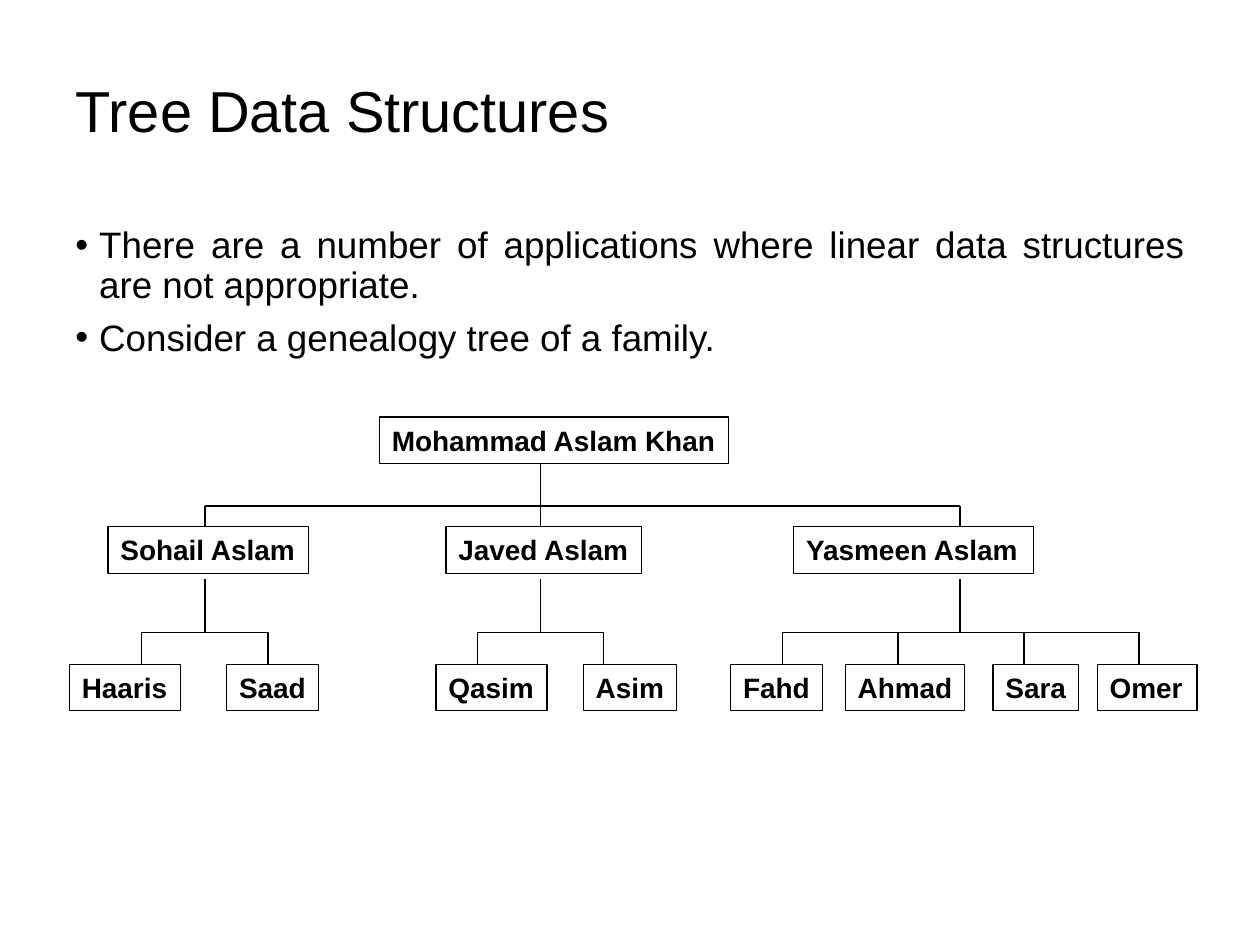
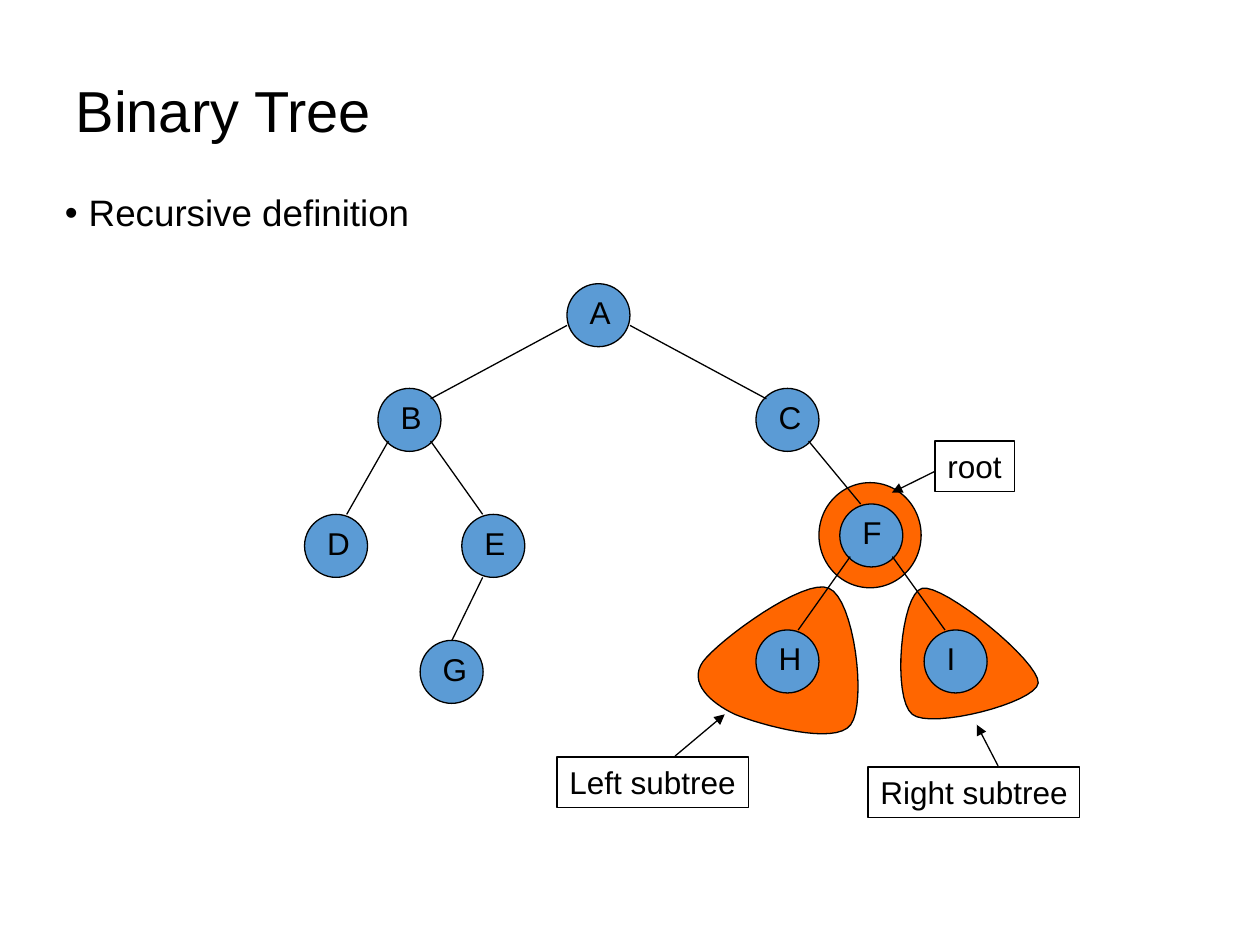
"""Build two slides on trees: a family tree and the recursive binary tree."""
from dataclasses import dataclass

from lxml.etree import SubElement
from pptx import Presentation
from pptx.dml.color import RGBColor
from pptx.enum.shapes import MSO_CONNECTOR, MSO_SHAPE
from pptx.enum.text import MSO_ANCHOR, MSO_AUTO_SIZE, PP_ALIGN
from pptx.oxml.ns import qn
from pptx.util import Cm, Pt


@dataclass(frozen=True)
class Theme:
    font: str = "Arial"
    ink: RGBColor = RGBColor(0, 0, 0)
    node: RGBColor = RGBColor(0x5B, 0x9B, 0xD5)
    region: RGBColor = RGBColor(0xFF, 0x66, 0x00)
    title: float = 33
    body: float = 21
    label: float = 18
    person: float = 16
    line: float = 0.75


THEME = Theme()
TITLE_BOX = (1.27, 1.02, 22.86, 2.54)

FAMILY_TITLE = "Tree Data Structures"
FAMILY_POINTS = [
    "There are a number of applications where linear data structures are not appropriate.",
    "Consider a genealogy tree of a family.",
]
FAMILY_BODY = (1.27, 4.45, 22.86, 4.88)
PERSON_HEIGHT = 0.94
# name, left, width, line position, children
FAMILY = ("Mohammad Aslam Khan", 7.65, 7.04, 10.9, [
    ("Sohail Aslam", 2.18, 4.04, 4.13, [
        ("Haaris", 1.4, 2.24, 2.85, []),
        ("Saad", 4.57, 1.85, 5.4, []),
    ]),
    ("Javed Aslam", 8.99, 3.94, 10.9, [
        ("Qasim", 8.79, 2.24, 9.63, []),
        ("Asim", 11.76, 1.88, 12.17, []),
    ]),
    ("Yasmeen Aslam", 16, 4.83, 19.35, [
        ("Fahd", 14.73, 1.85, 15.77, []),
        ("Ahmad", 17.04, 2.41, 18.1, []),
        ("Sara", 20.02, 1.73, 20.64, []),
        ("Omer", 22.12, 2.01, 22.96, []),
    ]),
])
GENERATION_TOPS = [8.41, 10.62, 13.39]
TRUNK_TOPS = [9.35, 11.68]
BRANCH_LEVELS = [10.2, 12.75]

BINARY_TITLE = "Binary Tree"
BINARY_POINTS = ["Recursive definition"]
BINARY_BODY = (1.06, 3.81, 22.86, 1.48)
NODE_SIZE = 1.27
NODES = {
    "A": (11.43, 5.72), "B": (7.62, 7.83), "C": (15.24, 7.83),
    "D": (6.14, 10.37), "E": (9.31, 10.37), "F": (16.93, 10.16),
    "G": (8.47, 12.91), "H": (15.24, 12.7), "I": (18.63, 12.7),
}
LOWER_LEFT, LOWER_RIGHT = (0.21, 1.06), (1.06, 1.06)
TOP_LEFT, TOP_RIGHT = (0.42, 0), (0.85, 0)
EDGES = [
    ("A", (0, 0.84), "B", (1.06, 0.21)),
    ("A", (1.27, 0.84), "C", (0.21, 0.21)),
    ("B", LOWER_LEFT, "D", TOP_RIGHT),
    ("B", LOWER_RIGHT, "E", TOP_LEFT),
    ("E", (0.42, 1.27), "G", (0.64, 0)),
    ("C", LOWER_RIGHT, "F", TOP_LEFT),
    ("F", LOWER_LEFT, "H", TOP_RIGHT),
    ("F", LOWER_RIGHT, "I", TOP_LEFT),
]
ROOT_RING = (16.51, 9.73, 2.06, 2.12)
SUBTREES = [
    ((16.71, 11.86), [
        ((16.23, 11.63), (14.5, 12.9), (14.17, 13.34)),
        ((13.87, 13.77), (14.33, 14.17), (14.81, 14.4)),
        ((15.32, 14.61), (16.84, 15.04), (17.15, 14.61)),
        ((17.48, 14.17), (17.22, 12.07), (16.71, 11.86)),
    ]),
    ((18.59, 11.86), [
        ((18.16, 11.96), (17.98, 14.07), (18.39, 14.4)),
        ((18.77, 14.71), (20.88, 14.17), (20.93, 13.77)),
        ((20.96, 13.34), (19.02, 11.76), (18.59, 11.86)),
    ]),
]
CURVE_STEPS = 16
CALLOUTS = [
    ("root", (18.85, 8.89, 1.6, 1.02), (18.85, 9.5), (17.98, 9.93)),
    ("Right subtree", (17.5, 15.46, 4.27, 1.02), (20.12, 15.44), (19.69, 14.61)),
    ("Left subtree", (11.23, 15.26, 3.86, 1.02), (13.61, 15.24), (14.61, 14.4)),
]


def lengths(values):
    return [Cm(value) for value in values]


def style_font(para, size, bold=False):
    font = para.font
    font.name, font.size, font.bold = THEME.font, Pt(size), bold
    font.color.rgb = THEME.ink


def style_shape(shape, fill=None):
    shape.shadow.inherit = False
    if fill is None:
        shape.fill.background()
    else:
        shape.fill.solid()
        shape.fill.fore_color.rgb = fill
    shape.line.color.rgb = THEME.ink
    shape.line.width = Pt(THEME.line)


def add_shape(page, kind, box, fill=None):
    shape = page.shapes.add_shape(kind, *lengths(box))
    style_shape(shape, fill)
    return shape


def write(shape, text, size, bold=False):
    frame = shape.text_frame
    frame.vertical_anchor = MSO_ANCHOR.TOP
    para = frame.paragraphs[0]
    para.text = text
    para.alignment = PP_ALIGN.LEFT
    style_font(para, size, bold)
    return frame


def add_label(page, text, box, size, bold=False):
    label = add_shape(page, MSO_SHAPE.RECTANGLE, box)
    write(label, text, size, bold).word_wrap = False


def add_line(page, start, end, arrow=False):
    line = page.shapes.add_connector(MSO_CONNECTOR.STRAIGHT, *lengths((*start, *end)))
    line.line.color.rgb = THEME.ink
    line.line.width = Pt(THEME.line)
    properties = line._element.spPr
    if arrow:
        SubElement(properties.find(qn("a:ln")), qn("a:tailEnd"), type="triangle")
    SubElement(properties, qn("a:effectLst"))


def add_page(deck, title_text, points, body_box, alignment):
    page = deck.slides.add_slide(deck.slide_layouts[5])
    title = page.shapes.title
    title.left, title.top, title.width, title.height = lengths(TITLE_BOX)
    frame = write(title, title_text, THEME.title)
    frame.vertical_anchor = MSO_ANCHOR.MIDDLE
    frame.auto_size = MSO_AUTO_SIZE.NONE
    frame.paragraphs[0].line_spacing = 0.9

    body = page.shapes.add_textbox(*lengths(body_box)).text_frame
    body.word_wrap = True
    for index, point in enumerate(points):
        para = body.add_paragraph() if index else body.paragraphs[0]
        para.text = point
        para.alignment = alignment
        para.line_spacing = 0.9
        para.space_before = Pt(7.5 if index else 0)
        properties = para._p.get_or_add_pPr()
        properties.set("marL", str(Cm(0.48)))
        properties.set("indent", str(-Cm(0.48)))
        SubElement(properties, qn("a:buFont"), typeface=THEME.font)
        SubElement(properties, qn("a:buChar"), char="•")
        style_font(para, THEME.body)
    return page


def add_family(page, person, generation=0):
    name, left, width, trunk, children = person
    box = (left, GENERATION_TOPS[generation], width, PERSON_HEIGHT)
    add_label(page, name, box, THEME.person, bold=True)
    if not children:
        return
    level = BRANCH_LEVELS[generation]
    stems = [child[3] for child in children]
    add_line(page, (trunk, TRUNK_TOPS[generation]), (trunk, level))
    add_line(page, (stems[0], level), (stems[-1], level))
    for child, stem in zip(children, stems):
        add_line(page, (stem, level), (stem, GENERATION_TOPS[generation + 1]))
        add_family(page, child, generation + 1)


def curve_points(start, curves):
    for first, second, end in curves:
        for step in range(1, CURVE_STEPS + 1):
            t = step / CURVE_STEPS
            weights = ((1 - t) ** 3, 3 * t * (1 - t) ** 2, 3 * t * t * (1 - t), t ** 3)
            corners = (start, first, second, end)
            yield tuple(
                Cm(sum(weight * corner[axis] for weight, corner in zip(weights, corners)))
                for axis in (0, 1)
            )
        start = end


def add_subtree(page, start, curves):
    builder = page.shapes.build_freeform(*lengths(start))
    builder.add_line_segments(list(curve_points(start, curves)), close=True)
    style_shape(builder.convert_to_shape(), THEME.region)


def add_node(page, letter, corner):
    node = add_shape(page, MSO_SHAPE.OVAL, (*corner, NODE_SIZE, NODE_SIZE), THEME.node)
    frame = write(node, letter, THEME.label)
    frame.margin_left = Cm(0.27)
    frame.margin_top = frame.margin_right = frame.margin_bottom = 0


def shift(corner, offset):
    return corner[0] + offset[0], corner[1] + offset[1]


def add_binary_tree(page):
    for start, curves in SUBTREES:
        add_subtree(page, start, curves)
    add_shape(page, MSO_SHAPE.OVAL, ROOT_RING, THEME.region)
    for letter, corner in NODES.items():
        add_node(page, letter, corner)
    for parent, exit_offset, child, entry_offset in EDGES:
        add_line(page, shift(NODES[parent], exit_offset), shift(NODES[child], entry_offset))
    for text, box, start, end in CALLOUTS:
        add_label(page, text, box, THEME.label)
        add_line(page, start, end, arrow=True)


def main():
    deck = Presentation()
    deck.slide_width, deck.slide_height = Cm(25.4), Cm(19.05)
    family = add_page(deck, FAMILY_TITLE, FAMILY_POINTS, FAMILY_BODY, PP_ALIGN.JUSTIFY)
    add_family(family, FAMILY)
    binary = add_page(deck, BINARY_TITLE, BINARY_POINTS, BINARY_BODY, PP_ALIGN.LEFT)
    add_binary_tree(binary)
    deck.save("out.pptx")


if __name__ == "__main__":
    main()
